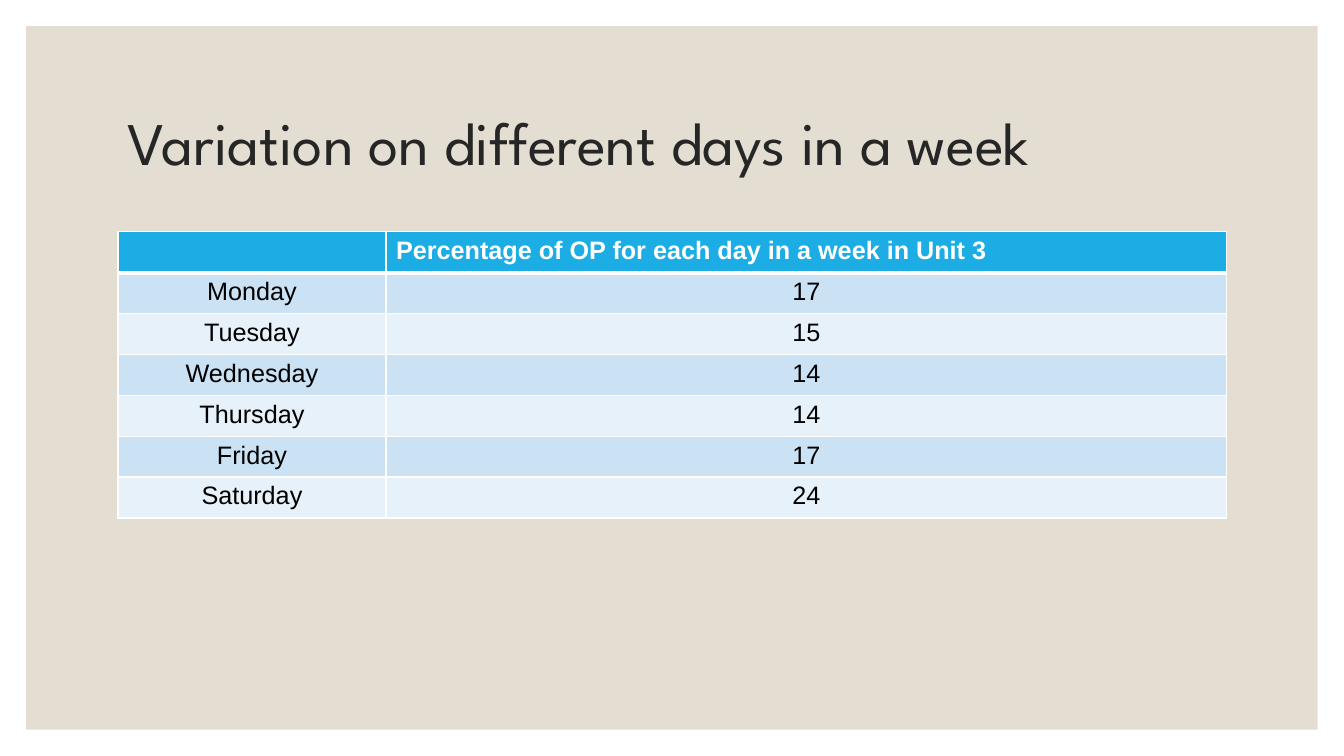
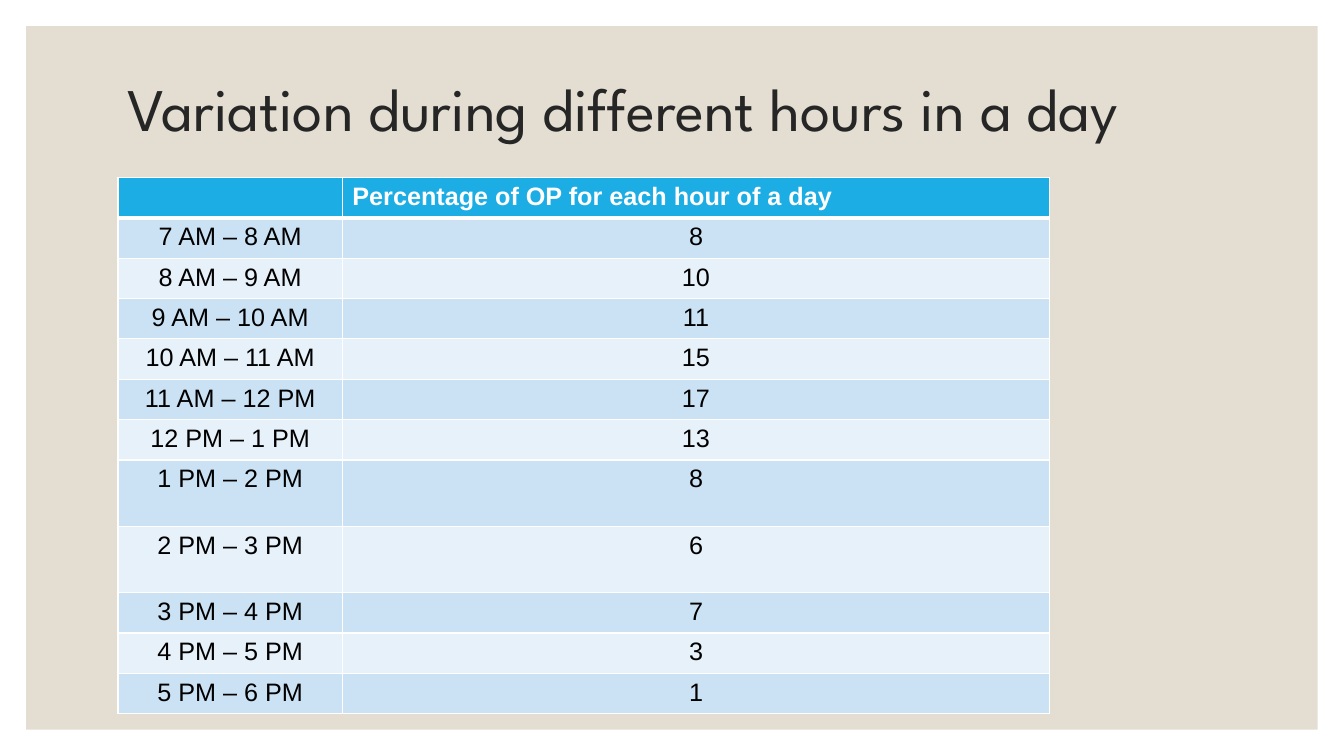
from dataclasses import dataclass

from lxml.etree import SubElement
from pptx import Presentation
from pptx.dml.color import RGBColor as Rgb
from pptx.enum.shapes import MSO_SHAPE as Shape
from pptx.enum.text import MSO_ANCHOR as Anchor, PP_ALIGN as Align
from pptx.oxml.ns import qn
from pptx.slide import Slide
from pptx.table import _Cell as Cell
from pptx.text.text import TextFrame
from pptx.util import Pt

HUES = {
    "panel": "E3DED1",
    "title": "262626",
    "head": "1CADE4",
    "odd": "CBE2F5",
    "even": "E7F1FA",
    "white": "FFFFFF",
    "black": "000000",
}
WIDE, HIGH = 960, 540
EDGE = 18.72
LEFT = 84.24


@dataclass(frozen=True)
class Page:
    title: str
    title_top: float
    head: str
    top: float
    cols: tuple[float, float]
    row: float
    data: dict[str, int]
    tall: tuple[str, ...] = ()
    tall_row: float = 0


PAGES = (
    Page(
        "Variation on different days in a week", 50.4,
        "Percentage of OP for each day in a week in Unit 3", 165.6,
        (191.5, 600.5), 29.2,
        {"Monday": 17, "Tuesday": 15, "Wednesday": 14,
         "Thursday": 14, "Friday": 17, "Saturday": 24},
    ),
    Page(
        "Variation during different hours in a day", 25.9,
        "Percentage of OP for each hour of a day", 126.7,
        (160.3, 505.2), 27.4,
        {"7 AM – 8 AM": 8, "8 AM – 9 AM": 10, "9 AM – 10 AM": 11,
         "10 AM – 11 AM": 15, "11 AM – 12 PM": 17, "12 PM – 1 PM": 13,
         "1 PM – 2 PM": 8, "2 PM – 3 PM": 6, "3 PM – 4 PM": 7,
         "4 PM – 5 PM": 3, "5 PM – 6 PM": 1},
        ("1 PM – 2 PM", "2 PM – 3 PM"), 47.4,
    ),
)


def color(name: str) -> Rgb:
    return Rgb.from_string(HUES[name])


def write(frame: TextFrame, text: str, *, size: float = 18, font: str = "Arial",
          hue: str = "black", bold: bool = False, align: Align = Align.CENTER,
          space: float = 1) -> None:
    para = frame.paragraphs[0]
    para.alignment = align
    para.line_spacing = space
    run = para.add_run()
    run.text = text
    run.font.size = Pt(size)
    run.font.name = font
    run.font.bold = bold
    run.font.color.rgb = color(hue)


def add_panel(slide: Slide) -> None:
    panel = slide.shapes.add_shape(
        Shape.RECTANGLE, Pt(EDGE), Pt(EDGE),
        Pt(WIDE - 2 * EDGE), Pt(HIGH - 2 * EDGE))
    panel.shadow.inherit = False
    panel.fill.solid()
    panel.fill.fore_color.rgb = color("panel")
    panel.line.fill.background()


def add_title(slide: Slide, text: str, top: float) -> None:
    frame = slide.shapes.add_textbox(
        Pt(LEFT), Pt(top), Pt(792), Pt(108)).text_frame
    frame.word_wrap = True
    frame.vertical_anchor = Anchor.MIDDLE
    write(frame, text, size=43.2, font="League Spartan", hue="title",
          align=Align.LEFT, space=0.9)


def paint(cell: Cell, hue: str, top: float = 1, low: float = 1) -> None:
    """Give a cell its white borders, then its fill."""
    props = cell._tc.get_or_add_tcPr()
    for side, width in {"L": 1, "R": 1, "T": top, "B": low}.items():
        line = SubElement(props, qn(f"a:ln{side}"), w=str(Pt(width)))
        fill = SubElement(line, qn("a:solidFill"))
        SubElement(fill, qn("a:srgbClr"), val=HUES["white"])
    cell.fill.solid()
    cell.fill.fore_color.rgb = color(hue)


def add_grid(slide: Slide, page: Page) -> None:
    highs = [page.row] + [
        page.tall_row if key in page.tall else page.row for key in page.data]
    grid = slide.shapes.add_table(
        len(highs), 2, Pt(LEFT), Pt(page.top),
        Pt(sum(page.cols)), Pt(sum(highs))).table
    grid.horz_banding = False
    for col, wide in zip(grid.columns, page.cols):
        col.width = Pt(wide)
    for row, high in zip(grid.rows, highs):
        row.height = Pt(high)

    for col in range(2):
        paint(grid.cell(0, col), "head", low=3)
    write(grid.cell(0, 1).text_frame, page.head, hue="white", bold=True,
          align=Align.LEFT)
    for row, pair in enumerate(page.data.items(), 1):
        for col, item in enumerate(pair):
            cell = grid.cell(row, col)
            paint(cell, "odd" if row % 2 else "even", top=3 if row == 1 else 1)
            write(cell.text_frame, str(item))


def main() -> None:
    deck = Presentation()
    deck.slide_width, deck.slide_height = Pt(WIDE), Pt(HIGH)
    for page in PAGES:
        slide = deck.slides.add_slide(deck.slide_layouts[6])
        add_panel(slide)
        add_title(slide, page.title, page.title_top)
        add_grid(slide, page)
    deck.save("out.pptx")


if __name__ == "__main__":
    main()
